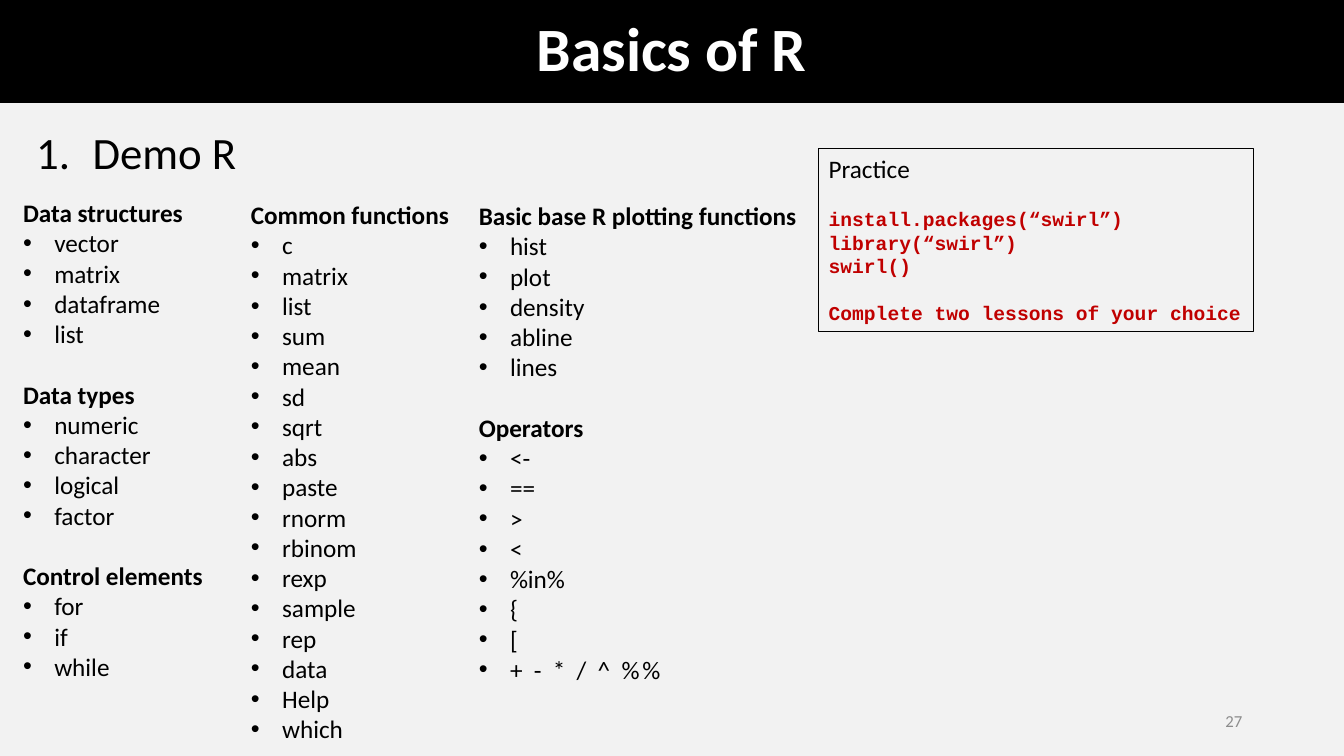
from dataclasses import dataclass

from lxml.etree import SubElement
from pptx import Presentation
from pptx.dml.color import RGBColor
from pptx.enum.shapes import MSO_SHAPE
from pptx.enum.text import MSO_ANCHOR, PP_ALIGN
from pptx.oxml.ns import qn
from pptx.util import Inches, Pt


@dataclass(frozen=True)
class Theme:
    background: RGBColor = RGBColor(0xF2, 0xF2, 0xF2)
    black: RGBColor = RGBColor(0, 0, 0)
    white: RGBColor = RGBColor(255, 255, 255)
    code: RGBColor = RGBColor(0xC0, 0, 0)
    muted: RGBColor = RGBColor(0x8C, 0x8C, 0x8C)
    body_font: str = "Calibri"
    code_font: str = "Courier New"
    title_size: float = 44
    heading_size: float = 32
    body_size: float = 18
    code_size: float = 14
    number_size: float = 12
    section_gap: float = 21.6
    code_line: float = 16.8


@dataclass(frozen=True)
class Section:
    heading: str
    items: tuple[str, ...]


@dataclass(frozen=True)
class Column:
    left: float
    top: float
    width: float
    height: float
    sections: tuple[Section, ...]


THEME = Theme()
OPERATORS = "+ - * / ^ %%"
COLUMNS = (
    Column(0.13, 1.91, 2.18, 4.95, (
        Section("Data structures", ("vector", "matrix", "dataframe", "list")),
        Section("Data types", ("numeric", "character", "logical", "factor")),
        Section("Control elements", ("for", "if", "while")),
    )),
    Column(2.39, 1.93, 3.1, 5.86, (
        Section("Common functions", (
            "c", "matrix", "list", "sum", "mean", "sd", "sqrt", "abs", "paste",
            "rnorm", "rbinom", "rexp", "sample", "rep", "data", "Help", "which")),
    )),
    Column(4.65, 1.94, 3.82, 4.95, (
        Section("Basic base R plotting functions",
                ("hist", "plot", "density", "abline", "lines")),
        Section("Operators", ("<-", "==", ">", "<", "%in%", "{", "[", OPERATORS)),
    )),
)


def add_text(tf, text: str, *, size: float = THEME.body_size, bold: bool = False,
             color: RGBColor = THEME.black, font: str = THEME.body_font,
             align: PP_ALIGN = PP_ALIGN.LEFT, before: float = 0,
             line_spacing=None, bullet: str = "", indent: float = 0.31,
             tracking: float = 0) -> None:
    """Add a paragraph; bullet is a character, or "1." for automatic numbers."""
    p = tf.paragraphs[0]
    if p.runs:
        p = tf.add_paragraph()
    p.alignment = align
    if before:
        p.space_before = Pt(before)
    if line_spacing:
        p.line_spacing = line_spacing
    if bullet:
        pPr = p._p.get_or_add_pPr()
        pPr.set("marL", str(Inches(indent)))
        pPr.set("indent", str(-Inches(indent)))
        if bullet == "1.":
            SubElement(pPr, qn("a:buFont"), typeface="+mj-lt")
            SubElement(pPr, qn("a:buAutoNum"), type="arabicPeriod")
        else:
            SubElement(pPr, qn("a:buFont"), typeface="Arial")
            SubElement(pPr, qn("a:buChar"), char=bullet)
    r = p.add_run()
    r.text = text
    r.font.name = font
    r.font.size = Pt(size)
    r.font.bold = bold
    r.font.color.rgb = color
    if tracking:
        r._r.get_or_add_rPr().set("spc", str(int(tracking * 100)))


def add_box(slide, left: float, top: float, width: float, height: float,
            anchor: MSO_ANCHOR = MSO_ANCHOR.TOP):
    sp = slide.shapes.add_textbox(Inches(left), Inches(top), Inches(width), Inches(height))
    tf = sp.text_frame
    tf.word_wrap = True
    tf.vertical_anchor = anchor
    return tf


def add_rectangle(slide, left: float, top: float, width: float, height: float):
    sp = slide.shapes.add_shape(MSO_SHAPE.RECTANGLE, Inches(left), Inches(top),
                                Inches(width), Inches(height))
    sp.shadow.inherit = False
    return sp


def add_title(slide, text: str) -> None:
    sp = add_rectangle(slide, 0, 0, 13.33, 1.02)
    sp.fill.solid()
    sp.fill.fore_color.rgb = THEME.black
    sp.line.fill.background()
    sp.text_frame.vertical_anchor = MSO_ANCHOR.MIDDLE
    add_text(sp.text_frame, text, size=THEME.title_size, bold=True,
             color=THEME.white, align=PP_ALIGN.CENTER, line_spacing=0.9)


def add_column(slide, column: Column) -> None:
    tf = add_box(slide, column.left, column.top, column.width, column.height)
    for i, section in enumerate(column.sections):
        add_text(tf, section.heading, bold=True, before=THEME.section_gap if i else 0)
        for item in section.items:
            add_text(tf, item, bullet="•", tracking=2 if item == OPERATORS else 0)


def add_practice(slide) -> None:
    sp = add_rectangle(slide, 8.12, 1.47, 4.31, 1.82)
    sp.fill.background()
    sp.line.color.rgb = THEME.black
    sp.line.width = Pt(0.75)
    tf = sp.text_frame
    tf.word_wrap = False
    tf.vertical_anchor = MSO_ANCHOR.TOP
    add_text(tf, "Practice")
    code_blocks = (
        ("install.packages(“swirl”)", "library(“swirl”)", "swirl()"),
        ("Complete two lessons of your choice",),
    )
    for block in code_blocks:
        for i, line in enumerate(block):
            add_text(tf, line, size=THEME.code_size, bold=True, color=THEME.code,
                     font=THEME.code_font, line_spacing=Pt(THEME.code_line),
                     before=0 if i else THEME.code_line)


def main() -> None:
    prs = Presentation()
    prs.slide_width, prs.slide_height = Inches(13.33), Inches(7.5)
    slide = prs.slides.add_slide(prs.slide_layouts[6])
    slide.background.fill.solid()
    slide.background.fill.fore_color.rgb = THEME.background

    add_title(slide, "Basics of R")
    add_text(add_box(slide, 0.26, 1.19, 12.6, 0.64), "Demo R",
             size=THEME.heading_size, bullet="1.", indent=0.56)
    for column in COLUMNS:
        add_column(slide, column)
    add_practice(slide)
    add_text(add_box(slide, 9.42, 6.95, 3, 0.4, MSO_ANCHOR.MIDDLE), "27",
             size=THEME.number_size, color=THEME.muted, align=PP_ALIGN.RIGHT)
    prs.save("out.pptx")


if __name__ == "__main__":
    main()
